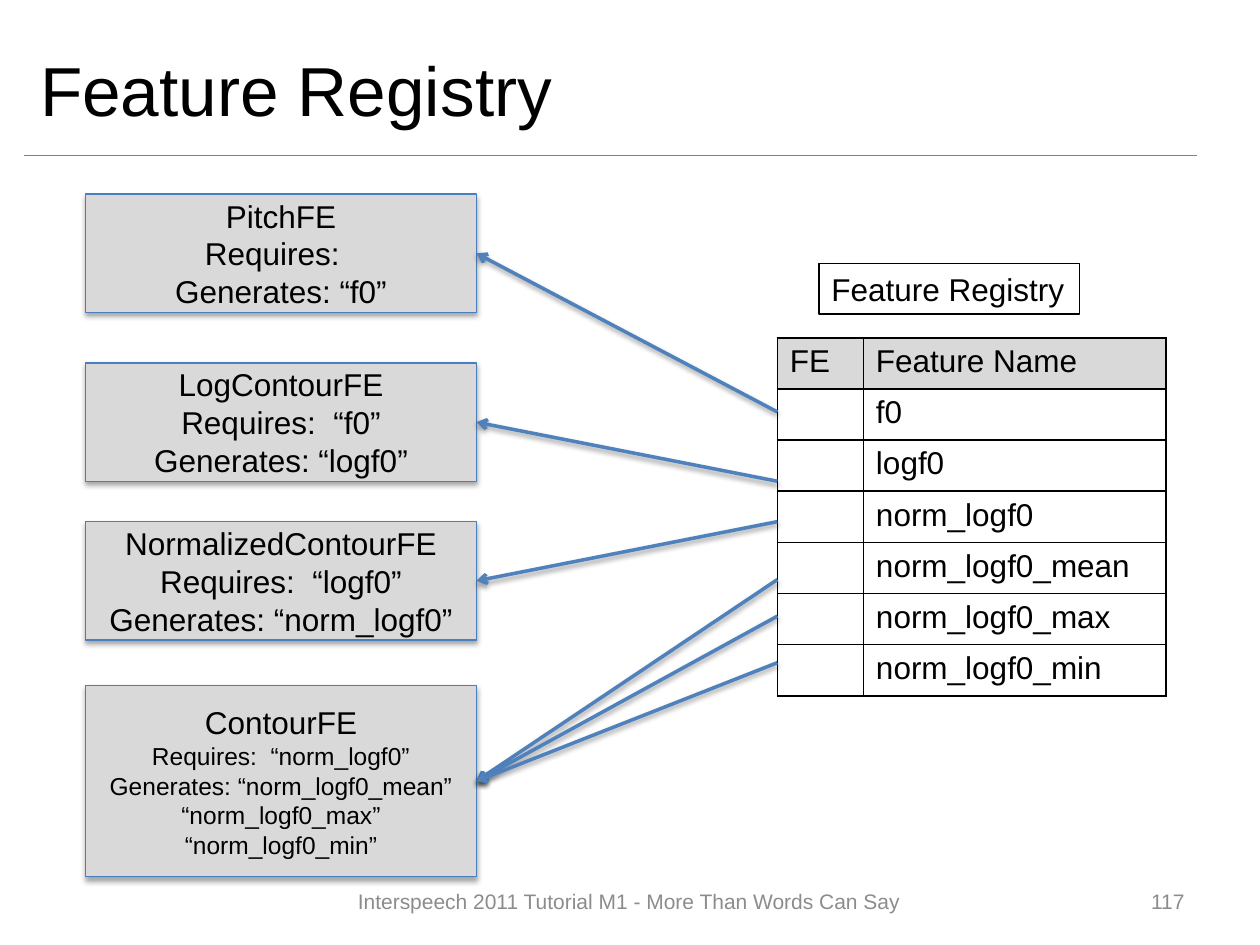
from lxml.etree import SubElement as Sub
from pptx import Presentation
from pptx.dml.color import RGBColor as RGB
from pptx.enum.shapes import MSO_CONNECTOR as Conn, MSO_SHAPE as Form
from pptx.enum.text import MSO_ANCHOR as Anchor, MSO_AUTO_SIZE as Auto, PP_ALIGN as Align
from pptx.oxml.ns import qn
from pptx.util import Pt

TITLE = "Feature Registry"
FOOT = "Interspeech 2011 Tutorial M1 - More Than Words Can Say"
PAGE = "117"
# top, height, lines, size of the detail lines, arrow starts
BOXES = [
    (110.9, 67.7, ["PitchFE", "Requires:  ", "Generates: “f0”"], "body", [235.4]),
    (207.4, 67.7, ["LogContourFE", "Requires:  “f0”", "Generates: “logf0”"], "body", [275]),
    (298.1, 67.7, ["NormalizedContourFE", "Requires:  “logf0”",
                   "Generates: “norm_logf0”"], "body", [298.1]),
    (391.7, 109.4, ["ContourFE", "Requires:  “norm_logf0”", "Generates: “norm_logf0_mean”",
                    "“norm_logf0_max”", "“norm_logf0_min”"], "small", [331.2, 352.1, 378.7]),
]
HEAD = ("FE", "Feature Name")
NAMES = ["f0", "logf0", "norm_logf0", "norm_logf0_mean", "norm_logf0_max", "norm_logf0_min"]

THEME = {
    "font": "Arial", "ink": "000000", "mute": "8C8C8C", "rule": "808080",
    "fill": "D9D9D9", "edge": "4B7EBC", "arrow": "4F81BD",
    "title": 39.6, "body": 18, "small": 14, "foot": 12,
}
LEFT, WIDE = 49, 223.2
GRID, TOP, ROW, COLS = 444.2, 193, 29.25, (49.2, 172.8)


def color(key):
    return RGB.from_string(THEME[key])


def style(para, size="body", ink="ink", align=Align.LEFT):
    para.alignment = align
    for run in para.runs:
        font = run.font
        font.name, font.size = THEME["font"], Pt(THEME[size])
        font.color.rgb = color(ink)


def shade(shape, alpha=None, dist=0):
    """Give the shape a soft shadow below, or none without alpha."""
    fx = Sub(shape._element.spPr, qn("a:effectLst"))
    if alpha:
        cast = Sub(fx, qn("a:outerShdw"), blurRad=str(Pt(3.1)), dist=str(Pt(dist)),
                   dir="5400000", rotWithShape="0")
        tint = Sub(cast, qn("a:srgbClr"), val=THEME["ink"])
        Sub(tint, qn("a:alpha"), val=str(alpha * 1000))


def label(slide, area, text, size, ink="ink", align=Align.LEFT):
    frame = slide.shapes.add_textbox(*map(Pt, area)).text_frame
    frame.word_wrap, frame.vertical_anchor = True, Anchor.MIDDLE
    frame.text = text
    style(frame.paragraphs[0], size, ink, align)


def block(slide, area, edge):
    shape = slide.shapes.add_shape(Form.RECTANGLE, *map(Pt, area))
    shape.line.color.rgb, shape.line.width = color(edge), Pt(0.75)
    return shape


def link(slide, ends, ink, width):
    line = slide.shapes.add_connector(Conn.STRAIGHT, *map(Pt, ends))
    line.line.color.rgb, line.line.width = color(ink), Pt(width)
    return line


def module(slide, top, high, lines, size):
    shape = block(slide, (LEFT, top, WIDE, high), "edge")
    shape.fill.solid()
    shape.fill.fore_color.rgb = color("fill")
    shade(shape, 35, 1.8)
    frame = shape.text_frame
    frame.vertical_anchor = Anchor.MIDDLE
    frame.text = "\n".join(lines)
    for i, para in enumerate(frame.paragraphs):
        style(para, size if i else "body", align=Align.CENTER)


def border(cell):
    props = cell._tc.get_or_add_tcPr()
    for i, side in enumerate(("lnL", "lnR", "lnT", "lnB")):
        line = props.makeelement(qn("a:" + side), w=str(Pt(1)))
        Sub(Sub(line, qn("a:solidFill")), qn("a:srgbClr"), val=THEME["ink"])
        props.insert(i, line)


def registry(slide):
    rows = [HEAD] + [("", name) for name in NAMES]
    size = sum(COLS), ROW * len(rows)
    table = slide.shapes.add_table(len(rows), len(COLS), *map(Pt, (GRID, TOP, *size))).table
    table.first_row = table.horz_banding = False
    for col, wide in zip(table.columns, COLS):
        col.width = Pt(wide)
    for r, row in enumerate(rows):
        table.rows[r].height = Pt(ROW)
        for c, text in enumerate(row):
            cell = table.cell(r, c)
            cell.text = text
            style(cell.text_frame.paragraphs[0])
            if r:
                cell.fill.background()
            else:
                cell.fill.solid()
                cell.fill.fore_color.rgb = color("fill")
            border(cell)


def caption(slide):
    shape = block(slide, (468, 150.5, 149, 29), "ink")
    shape.fill.background()
    shade(shape)
    frame = shape.text_frame
    frame.word_wrap, frame.auto_size = False, Auto.SHAPE_TO_FIT_TEXT
    frame.vertical_anchor = Anchor.TOP
    frame.text = TITLE
    style(frame.paragraphs[0])


def main():
    deck = Presentation()
    deck.slide_width, deck.slide_height = Pt(720), Pt(540)
    slide = deck.slides.add_slide(deck.slide_layouts[6])
    shade(link(slide, (13.7, 88.6, 684, 88.6), "rule", 0.25))
    label(slide, (15.8, 21.6, 668.2, 58.3), TITLE, "title")
    label(slide, (516.2, 500.4, 167.8, 28.8), PAGE, "foot", "mute", Align.RIGHT)
    for top, high, lines, size, _ in BOXES:
        module(slide, top, high, lines, size)
    registry(slide)
    for top, high, _, _, starts in BOXES:
        for y in starts:
            line = link(slide, (GRID, y, LEFT + WIDE, top + high / 2), "arrow", 2)
            Sub(line.line._get_or_add_ln(), qn("a:tailEnd"), type="arrow")
            shade(line, 38, 1.6)
    caption(slide)
    label(slide, (177.1, 500.4, 365, 28.8), FOOT, "foot", "mute", Align.CENTER)
    deck.save("out.pptx")


if __name__ == "__main__":
    main()
